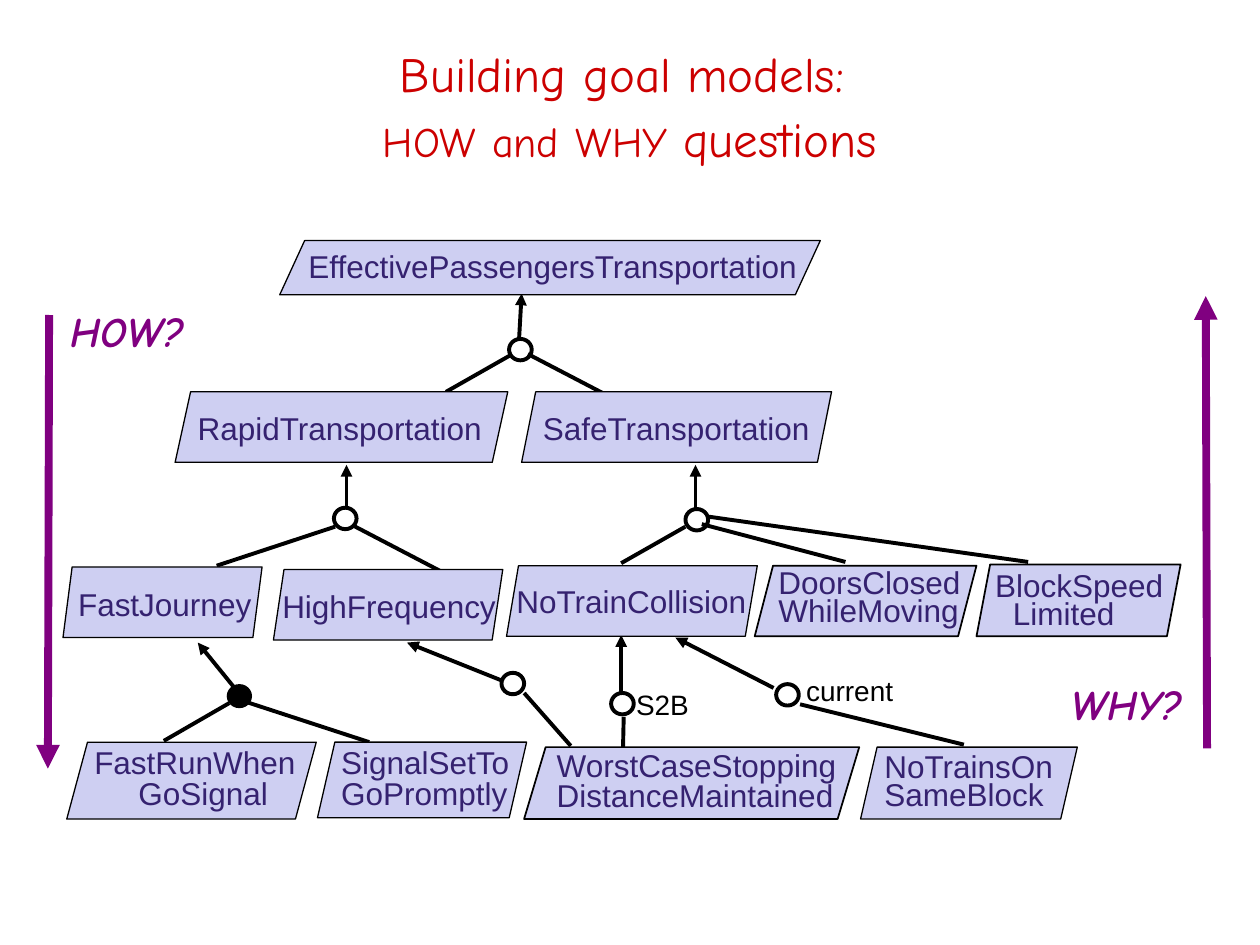
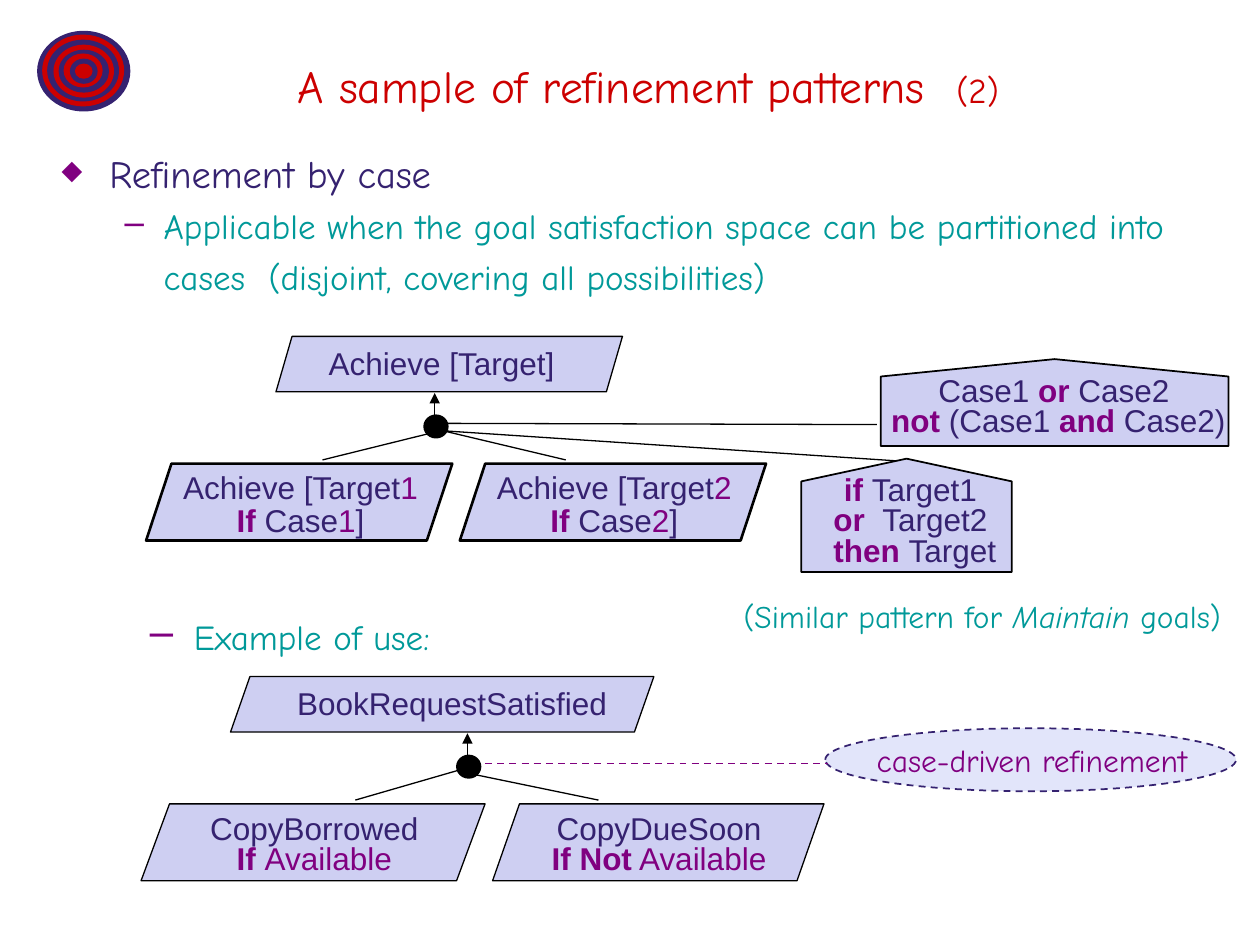
from dataclasses import dataclass
from typing import NamedTuple

from lxml.etree import SubElement
from pptx import Presentation
from pptx.dml.color import RGBColor
from pptx.enum.dml import MSO_LINE as Dash
from pptx.enum.shapes import MSO_CONNECTOR as Conn, MSO_SHAPE as Kind
from pptx.enum.text import MSO_ANCHOR as Anchor, PP_ALIGN as Align
from pptx.oxml.ns import qn
from pptx.util import Emu, Pt

PX = 9144  # 100 px to the inch
HUES = {
    "ink": "352270", "red": "CC0000", "plum": "800080", "teal": "009999",
    "black": "000000", "lilac": "CECFF2", "pale": "E2E5FA",
}
SANS, HAND = "Arial", "Comic Neue"
SLANT, HOUSE = Kind.PARALLELOGRAM, Kind.FLOWCHART_OFFPAGE_CONNECTOR


class Box(NamedTuple):
    left: int
    top: int
    width: int
    height: int


class Run(NamedTuple):
    text: str
    hue: str = "ink"
    size: int = 18
    bold: bool = False
    slope: bool = False
    font: str = SANS


@dataclass
class Para:
    runs: list[Run]
    space: float = 1.0
    align: Align = Align.LEFT
    left: int = 0
    hang: int = 0
    mark: str = ""
    scale: int = 100
    before: int = 0


@dataclass
class Label:
    box: Box
    paras: list[Para]
    anchor: Anchor = Anchor.TOP
    side: int = 10


@dataclass
class Goal:
    box: Box
    skew: float
    label: Label
    weight: float = 0.75
    kind: Kind = SLANT


class Link(NamedTuple):
    x1: int
    y1: int
    x2: int
    y2: int
    arrow: bool = False


def px(size: int) -> Emu:
    return Emu(size * PX)


def rgb(hue: str) -> RGBColor:
    return RGBColor.from_string(HUES[hue])


def ink(text: str) -> Run:
    return Run(text)


def plum(text: str) -> Run:
    return Run(text, "plum")


def bold(text: str) -> Run:
    return Run(text, "plum", bold=True)


def hand(text: str, hue: str, size: int, bold: bool = False, slope: bool = False) -> Run:
    return Run(text, hue, size, bold, slope, HAND)


def mid(*runs: Run, space: float = 0.8) -> Para:
    return Para(list(runs), space, Align.CENTER)


def stack(box: Box, *lines: str, space: float = 1.0, shift: int = 0, side: int = 10) -> Label:
    """Plain left-aligned lines; the last one is moved in by shift."""
    paras = [Para([ink(line)], space) for line in lines]
    paras[-1].left = shift
    return Label(box, paras, side=side)


def write(slide, label: Label) -> None:
    frame = slide.shapes.add_textbox(*map(px, label.box)).text_frame
    frame.word_wrap = True
    frame.vertical_anchor = label.anchor
    frame.margin_left = frame.margin_right = px(label.side)
    frame.margin_top = frame.margin_bottom = px(5)
    for i, item in enumerate(label.paras):
        para = frame.add_paragraph() if i else frame.paragraphs[0]
        para.alignment, para.line_spacing = item.align, item.space
        para.space_before = Pt(item.before)
        props = para._p.get_or_add_pPr()
        props.set("marL", str(px(item.left)))
        props.set("indent", str(px(-item.hang)))
        if item.mark:
            tint = SubElement(props, qn("a:buClr"))
            SubElement(tint, qn("a:srgbClr"), val=HUES["plum"])
            SubElement(props, qn("a:buSzPct"), val=str(item.scale * 1000))
            SubElement(props, qn("a:buChar"), char=item.mark)
        for part in item.runs:
            if part.text == "\n":
                para.add_line_break()
                continue
            run = para.add_run()
            run.text = part.text
            font = run.font
            font.name, font.size = part.font, Pt(part.size)
            font.bold, font.italic = part.bold, part.slope
            font.color.rgb = rgb(part.hue)


def draw(slide, kind: Kind, box: Box, fill: str, line: str = "black", weight: float = 0.75):
    """Add a preset shape; an empty fill name leaves it hollow."""
    shape = slide.shapes.add_shape(kind, *map(px, box))
    shape.shadow.inherit = False
    if fill:
        shape.fill.solid()
        shape.fill.fore_color.rgb = rgb(fill)
    else:
        shape.fill.background()
    shape.line.color.rgb = rgb(line)
    shape.line.width = Pt(weight)
    return shape


def place(slide, goal: Goal) -> None:
    shape = draw(slide, goal.kind, goal.box, "lilac", weight=goal.weight)
    if goal.kind == SLANT:
        shape.adjustments[0] = goal.skew
    else:
        shape.rotation = 180
    write(slide, goal.label)


def dot(slide, left: int, top: int, full: bool) -> None:
    draw(slide, Kind.OVAL, Box(left, top, 18, 17), "black" if full else "",
         weight=1.5 if full else 2.25)


def join(slide, link: Link, weight: float, hue: str = "black"):
    """Draw a line, with any arrowhead at its start."""
    line = slide.shapes.add_connector(Conn.STRAIGHT, *map(px, link[:4]))
    line.line.color.rgb = rgb(hue)
    line.line.width = Pt(weight)
    if link.arrow:
        SubElement(line.line._get_or_add_ln(), qn("a:headEnd"), type="triangle")
    SubElement(line._element.spPr, qn("a:effectLst"))
    return line


def title(slide, box: Box, runs: list[Run], space: float = 1.0) -> None:
    write(slide, Label(box, [mid(*runs, space=space)], Anchor.MIDDLE))


TREE = [
    Goal(Box(222, 191, 429, 43), 0.46,
         stack(Box(235, 197, 414, 31), "EffectivePassengersTransportation", space=0.8)),
    Goal(Box(139, 311, 264, 56), 0.22, stack(Box(147, 320, 255, 40), "RapidTransportation")),
    Goal(Box(414, 311, 246, 56), 0.2, stack(Box(421, 320, 237, 40), "SafeTransportation")),
    Goal(Box(50, 450, 158, 56), 0.13, stack(Box(56, 459, 155, 40), "FastJourney", side=6)),
    Goal(Box(217, 452, 182, 56), 0.15, stack(Box(224, 461, 179, 40), "HighFrequency", side=0)),
    Goal(Box(402, 449, 199, 56), 0.17, stack(Box(400, 457, 213, 40), "NoTrainCollision")),
    Goal(Box(599, 449, 176, 56), 0.26,
         stack(Box(608, 449, 166, 56), "DoorsClosed", "WhileMoving", space=0.75), 1),
    Goal(Box(775, 448, 162, 57), 0.19,
         stack(Box(780, 451, 157, 56), "BlockSpeed", "Limited", space=0.75, shift=14), 1),
    Goal(Box(53, 589, 198, 61), 0.27,
         stack(Box(65, 591, 187, 57), "FastRunWhen", "GoSignal", space=0.8, shift=35)),
    Goal(Box(252, 589, 166, 60), 0.23,
         stack(Box(261, 591, 156, 56), "SignalSetTo", "GoPromptly", space=0.8)),
    Goal(Box(416, 593, 266, 57), 0.3,
         stack(Box(432, 593, 251, 53), "WorstCaseStopping", "DistanceMaintained", space=0.8), 1),
    Goal(Box(683, 593, 172, 57), 0.23,
         stack(Box(692, 595, 162, 52), "NoTrainsOn", "SameBlock", space=0.75)),
]
TREE_LINKS = [
    Link(414, 233, 412, 269, True), Link(405, 282, 354, 311), Link(419, 281, 490, 318),
    Link(275, 369, 275, 403, True), Link(266, 418, 172, 449), Link(280, 417, 351, 454),
    Link(552, 369, 552, 403, True), Link(544, 418, 493, 447), Link(557, 416, 671, 446),
    Link(562, 410, 816, 446),
    Link(157, 510, 187, 547, True), Link(182, 558, 130, 588), Link(195, 557, 293, 589),
    Link(323, 510, 398, 540, True), Link(416, 550, 453, 592),
    Link(493, 504, 493, 550, True), Link(495, 569, 494, 616),
    Link(536, 506, 614, 546, True), Link(635, 559, 765, 591),
]
TREE_DOTS = [(404, 269), (265, 403), (544, 404), (398, 534), (485, 550), (616, 543)]


def tree(slide) -> None:
    title(slide, Box(19, 37, 962, 89), [
        hand(text, "red", size) for text, size in [
            ("Building goal models: ", 28), ("\n", 28), ("HOW", 24), (" ", 28),
            ("and", 24), (" ", 28), ("WHY", 24), (" questions", 28)]
    ], 1.1)
    for link in TREE_LINKS:
        join(slide, link, 2.25)
    for goal in TREE:
        place(slide, goal)
    for left, top in TREE_DOTS:
        dot(slide, left, top, False)
    dot(slide, 181, 544, True)
    for text, box in [("current", Box(630, 530, 102, 36)), ("S2B", Box(495, 541, 74, 36))]:
        write(slide, Label(box, [Para([Run(text, "black", 16)])]))
    for text, box, link in [
        ("HOW?", Box(28, 245, 146, 40), Link(38, 610, 39, 250, True)),
        ("WHY?", Box(829, 541, 131, 40), Link(957, 235, 958, 594, True)),
    ]:
        join(slide, link, 4.5, "plum")
        write(slide, Label(box, [mid(hand(text, "plum", 24, True, True))]))


def case(left: int, num: str) -> Goal:
    """One numbered case under the target goal."""
    return Goal(Box(left, 368, 243, 61), 0.33, Label(Box(left + 8, 372, 229, 57), [
        mid(ink("Achieve [Target"), plum(num)),
        mid(bold("If "), ink("Case"), plum(num), ink("]"), space=0.9),
    ]), 1.5)


CASES = [
    Goal(Box(219, 267, 275, 44), 0.29, stack(Box(237, 268, 256, 39), "Achieve [Target]", shift=14)),
    case(116, "1"),
    case(365, "2"),
    Goal(Box(636, 364, 167, 90), 0, Label(Box(630, 374, 185, 69), [
        mid(bold("if "), ink("Target1")),
        mid(bold("or  "), ink("Target2")),
        mid(bold(" then "), ink("Target")),
    ]), 1, HOUSE),
    Goal(Box(699, 285, 276, 69), 0, Label(Box(690, 295, 293, 69), [
        mid(ink("Case1 "), bold("or "), ink("Case2")),
        mid(bold(" not "), ink("(Case1 "), bold("and "), ink("Case2)")),
    ]), 1, HOUSE),
    Goal(Box(183, 537, 336, 44), 0.35,
         stack(Box(198, 538, 321, 39), "BookRequestSatisfied", shift=28)),
    Goal(Box(112, 638, 273, 61), 0.37, Label(Box(121, 643, 257, 57), [
        mid(ink("CopyBorrowed")), mid(bold("If "), plum("Available"))])),
    Goal(Box(391, 638, 263, 61), 0.35, Label(Box(399, 643, 248, 57), [
        mid(ink("CopyDueSoon")), mid(bold("If Not"), plum(" Available"))])),
]
CASE_LINKS = [
    Link(345, 312, 345, 332, True), Link(341, 344, 256, 365), Link(352, 342, 449, 365),
    Link(353, 342, 715, 366), Link(351, 336, 696, 337),
    Link(371, 582, 371, 602, True), Link(365, 611, 282, 635), Link(378, 615, 475, 635),
]


def rings(slide) -> None:
    """Eight nested ovals in turn dark and red."""
    for i in range(8):
        wide, high = round(73 - 8.6 * i), round(63 - 7.4 * i)
        hue = "red" if i % 2 else "ink"
        draw(slide, Kind.OVAL, Box(66 - wide // 2, 56 - high // 2, wide, high), hue, hue)


def cases(slide) -> None:
    rings(slide)
    title(slide, Box(98, 17, 833, 101), [
        hand("A sample of refinement patterns  ", "red", 26), hand("(2)", "red", 20)])
    write(slide, Label(Box(39, 101, 930, 142), [
        Para([hand("Refinement by case", "ink", 22)], 1.3, left=38, hang=38,
             mark="◆", scale=70, before=9),
        Para([hand("Applicable when the goal satisfaction space can be partitioned into "
                   "cases  (disjoint, covering all possibilities)", "teal", 20)],
             1.2, left=81, hang=31, mark="–"),
    ], Anchor.MIDDLE))
    for link in CASE_LINKS:
        join(slide, link, 0.75)
    for goal in CASES:
        place(slide, goal)
    for left, top in [(337, 330), (363, 600)]:
        dot(slide, left, top, True)
    cloud = draw(slide, Kind.OVAL, Box(655, 578, 326, 50), "pale", "ink", 1)
    dashed = join(slide, Link(385, 606, 657, 606), 1, "plum")
    for item in (cloud, dashed):
        item.line.dash_style = Dash.DASH
    for box, para in [
        (Box(673, 583, 292, 40), mid(hand("case-driven refinement", "plum", 18), space=1)),
        (Box(562, 469, 435, 40), mid(
            hand("(Similar pattern for ", "teal", 18),
            hand("Maintain", "teal", 18, slope=True),
            hand(" goals)", "teal", 18), space=1)),
        (Box(109, 480, 249, 50), Para([hand("Example of use:", "teal", 20)],
                                      left=35, hang=35, mark="–", scale=120)),
    ]:
        write(slide, Label(box, [para], Anchor.MIDDLE))


def main() -> None:
    deck = Presentation()
    deck.slide_width, deck.slide_height = px(1000), px(750)
    for build in (tree, cases):
        build(deck.slides.add_slide(deck.slide_layouts[6]))
    deck.save("out.pptx")


if __name__ == "__main__":
    main()
